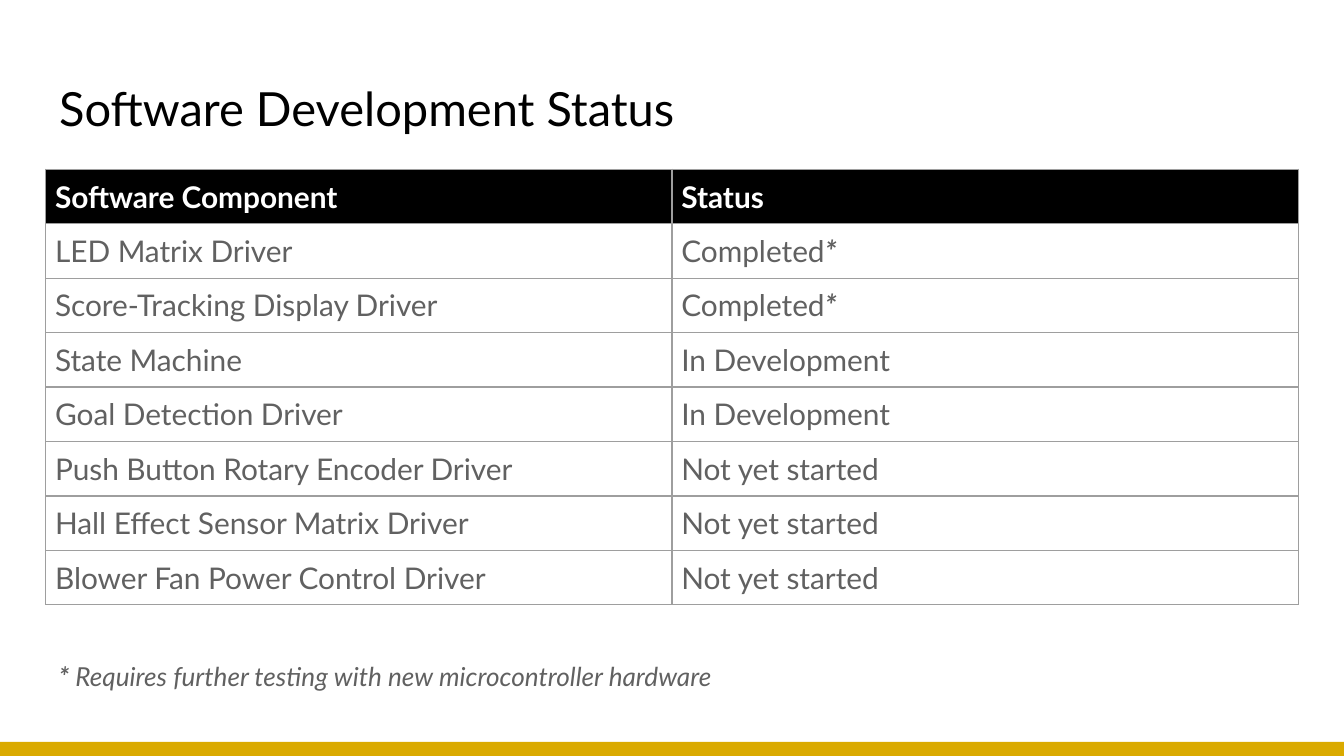
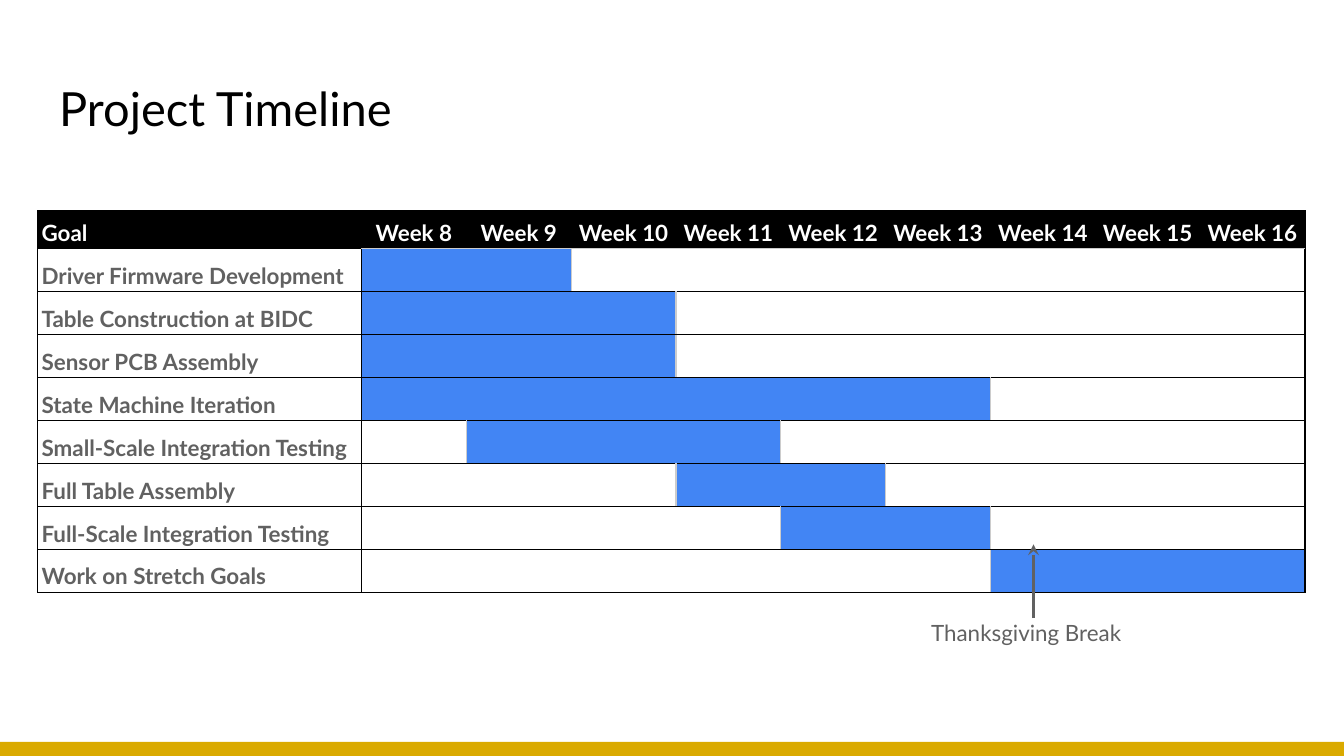
"""Builds the software status and project timeline slides."""
from dataclasses import dataclass

from lxml.etree import SubElement
from pptx import Presentation
from pptx.dml.color import RGBColor
from pptx.enum.shapes import MSO_CONNECTOR as Connector, MSO_SHAPE as Preset
from pptx.enum.text import MSO_ANCHOR as Anchor, MSO_AUTO_SIZE as AutoSize, PP_ALIGN as Align
from pptx.oxml.ns import qn
from pptx.util import Inches, Pt


@dataclass(frozen=True)
class Theme:
    font: str = "Lato"
    black: str = "000000"
    white: str = "FFFFFF"
    gold: str = "DAAA00"
    gray: str = "616161"
    grid: str = "9E9E9E"
    pale: str = "CCCCCC"
    blue: str = "4285F4"
    title: float = 25.2
    body: int = 16
    note: int = 14
    small: int = 12
    border: float = 0.75


THEME = Theme()
WIDTH = 10
HEIGHT = WIDTH * 9 / 16
STAR = ("*", "bi")
DONE = [("Completed", ""), STAR]

STATUS_TITLE = "Software Development Status"
STATUS_ROWS = [
    ("Software Component", "Status"),
    ("LED Matrix Driver", DONE),
    ("Score-Tracking Display Driver", DONE),
    ("State Machine", "In Development"),
    ("Goal Detection Driver", "In Development"),
    ("Push Button Rotary Encoder Driver", "Not yet started"),
    ("Hall Effect Sensor Matrix Driver", "Not yet started"),
    ("Blower Fan Power Control Driver", "Not yet started"),
]
FOOTNOTE = [STAR, (" Requires further testing with new microcontroller hardware", "i")]

TIMELINE_TITLE = "Project Timeline"
FIRST_WEEK, LAST_WEEK = 8, 16
GOALS = [
    ("Driver Firmware Development", 8, 9),
    ("Table Construction at BIDC", 8, 10),
    ("Sensor PCB Assembly", 8, 10),
    ("State Machine Iteration", 8, 13),
    ("Small-Scale Integration Testing", 9, 11),
    ("Full Table Assembly", 11, 12),
    ("Full-Scale Integration Testing", 12, 13),
    ("Work on Stretch Goals", 14, 16),
]
BREAK = "Thanksgiving Break"


def color(value):
    return RGBColor.from_string(value)


def write(frame, text, size=THEME.body, ink=THEME.gray, style="", align=Align.LEFT,
          spacing=None, after=None):
    """Fill a text frame with a string or (text, style) runs; b is bold, i is italic."""
    frame.word_wrap = True
    paragraph = frame.paragraphs[0]
    paragraph.alignment = align
    if spacing:
        paragraph.line_spacing = spacing
    if after:
        paragraph.space_after = Pt(after)
    for words, look in [(text, style)] if isinstance(text, str) else text:
        run = paragraph.add_run()
        run.text = words
        font = run.font
        font.name, font.size = THEME.font, Pt(size)
        font.bold, font.italic = "b" in look, "i" in look
        font.color.rgb = color(ink)


def set_insets(frame, inset=0.1):
    frame.margin_left = frame.margin_right = Inches(inset)
    frame.margin_top = frame.margin_bottom = Inches(inset)


def add_label(slide, text, left, top, width, height, **style):
    frame = slide.shapes.add_textbox(*map(Inches, (left, top, width, height))).text_frame
    set_insets(frame)
    write(frame, text, **style)


def add_band(slide, layout):
    """Draw the footer band and hand it to the shared layout."""
    band = slide.shapes.add_shape(Preset.RECTANGLE, 0, Inches(5.52), Inches(WIDTH), Inches(0.11))
    band.shadow.inherit = False
    band.fill.solid()
    band.fill.fore_color.rgb = color(THEME.gold)
    band.line.fill.background()
    band.element.nvSpPr.cNvPr.id = 20
    layout.shapes.element.append(band.element)


def add_slide(deck, title):
    slide = deck.slides.add_slide(deck.slide_layouts[5])
    heading = slide.shapes.title
    heading.left, heading.top, heading.width, heading.height = map(Inches, (0.34, 0.49, 9.32, 0.63))
    frame = heading.text_frame
    frame.auto_size, frame.vertical_anchor = AutoSize.NONE, Anchor.TOP
    set_insets(frame)
    write(frame, title, size=THEME.title, ink=THEME.black)
    return slide


def add_grid(slide, left, top, widths, heights):
    frame = slide.shapes.add_table(len(heights), len(widths), Inches(left), Inches(top),
                                   Inches(sum(widths)), Inches(sum(heights)))
    table = frame.table
    table.first_row = table.horz_banding = False
    for column, width in zip(table.columns, widths):
        column.width = Inches(width)
    for row, height in zip(table.rows, heights):
        row.height = Inches(height)
    return table


def format_cell(cell, fill=None, edges=None, inset=(0.07, 0.07), anchor=Anchor.TOP):
    """Set insets, then borders in left, right, top, bottom order, then fill."""
    cell.margin_left = cell.margin_right = Inches(inset[0])
    cell.margin_top = cell.margin_bottom = Inches(inset[1])
    cell.vertical_anchor = anchor
    properties = cell._tc.get_or_add_tcPr()
    for side, ink in zip("LRTB", edges or ()):
        line = SubElement(properties, qn(f"a:ln{side}"), w=str(Pt(THEME.border)))
        SubElement(SubElement(line, qn("a:solidFill")), qn("a:srgbClr"), val=ink)
    if fill:
        cell.fill.solid()
        cell.fill.fore_color.rgb = color(fill)
    else:
        cell.fill.background()


def add_status_table(slide):
    heights = [0.37] + [0.39] * (len(STATUS_ROWS) - 1)
    table = add_grid(slide, 0.34, 1.26, [4.66, 4.66], heights)
    for r, entries in enumerate(STATUS_ROWS):
        header = r == 0
        for c, entry in enumerate(entries):
            cell = table.cell(r, c)
            format_cell(cell, fill=THEME.black if header else None, edges=[THEME.grid] * 4)
            write(cell.text_frame, entry, ink=THEME.white if header else THEME.gray,
                  style="b" if header else "")


def add_timeline_table(slide):
    weeks = LAST_WEEK - FIRST_WEEK + 1
    table = add_grid(slide, 0.28, 1.57, [2.41] + [0.78] * weeks, [0.28] + [0.32] * len(GOALS))
    tight = dict(inset=(0.03, 0.02), anchor=Anchor.BOTTOM)
    text = dict(size=THEME.small, style="b", spacing=1.15)
    black, pale = THEME.black, THEME.pale

    headings = ["Goal"] + [f"Week {week}" for week in range(FIRST_WEEK, LAST_WEEK + 1)]
    for c, heading in enumerate(headings):
        cell = table.cell(0, c)
        format_cell(cell, fill=black, edges=[black, black, black, pale if c else black], **tight)
        write(cell.text_frame, heading, ink=THEME.white,
              align=Align.CENTER if c else Align.LEFT, **text)

    for r, (goal, start, end) in enumerate(GOALS, 1):
        name = table.cell(r, 0)
        format_cell(name, edges=[black] * 4, **tight)
        write(name.text_frame, goal, **text)
        first, last = start - FIRST_WEEK + 1, end - FIRST_WEEK + 1
        spans = [(1, first - 1, None), (first, last, THEME.blue), (last + 1, weeks, None)]
        for begin, finish, fill in spans:
            if begin > finish:
                continue
            edges = [black if begin == 1 else pale, black if finish == weeks else pale,
                     pale if r == 1 else black, black]
            for c in range(begin, finish + 1):
                cell = table.cell(r, c)
                format_cell(cell, fill=fill, edges=edges if c == begin else None, **tight)
                SubElement(cell.text_frame.paragraphs[0]._p, qn("a:endParaRPr"),
                           sz=str(THEME.small * 100))
            if finish > begin:
                table.cell(r, begin).merge(table.cell(r, finish))


def add_arrow(slide, x, start, end):
    arrow = slide.shapes.add_connector(Connector.STRAIGHT, Inches(x), Inches(start),
                                       Inches(x), Inches(end))
    arrow.line.color.rgb = color(THEME.gray)
    arrow.line.width = Pt(1.5)
    SubElement(arrow.line._get_or_add_ln(), qn("a:tailEnd"), type="stealth")
    SubElement(arrow.element.spPr, qn("a:effectLst"))


def main():
    deck = Presentation()
    deck.slide_width, deck.slide_height = Inches(WIDTH), Inches(HEIGHT)

    status = add_slide(deck, STATUS_TITLE)
    add_band(status, deck.slide_layouts[5])
    add_status_table(status)
    add_label(status, FOOTNOTE, 0.34, 4.78, 9.32, 0.36, size=THEME.note, spacing=1.15, after=12)

    timeline = add_slide(deck, TIMELINE_TITLE)
    add_timeline_table(timeline)
    add_label(timeline, BREAK, 6.83, 4.51, 1.71, 0.41, size=THEME.small)
    add_arrow(timeline, 7.69, 4.6, 4.05)

    deck.save("out.pptx")


if __name__ == "__main__":
    main()
